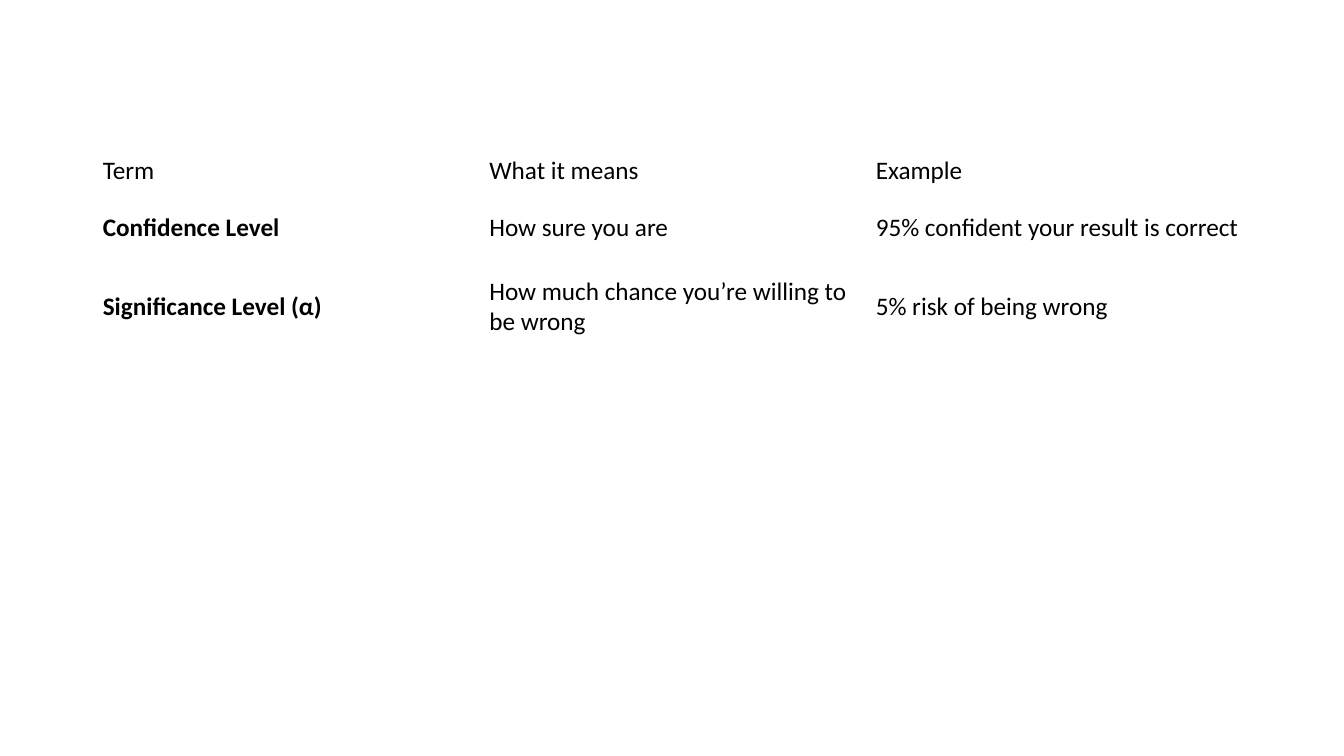
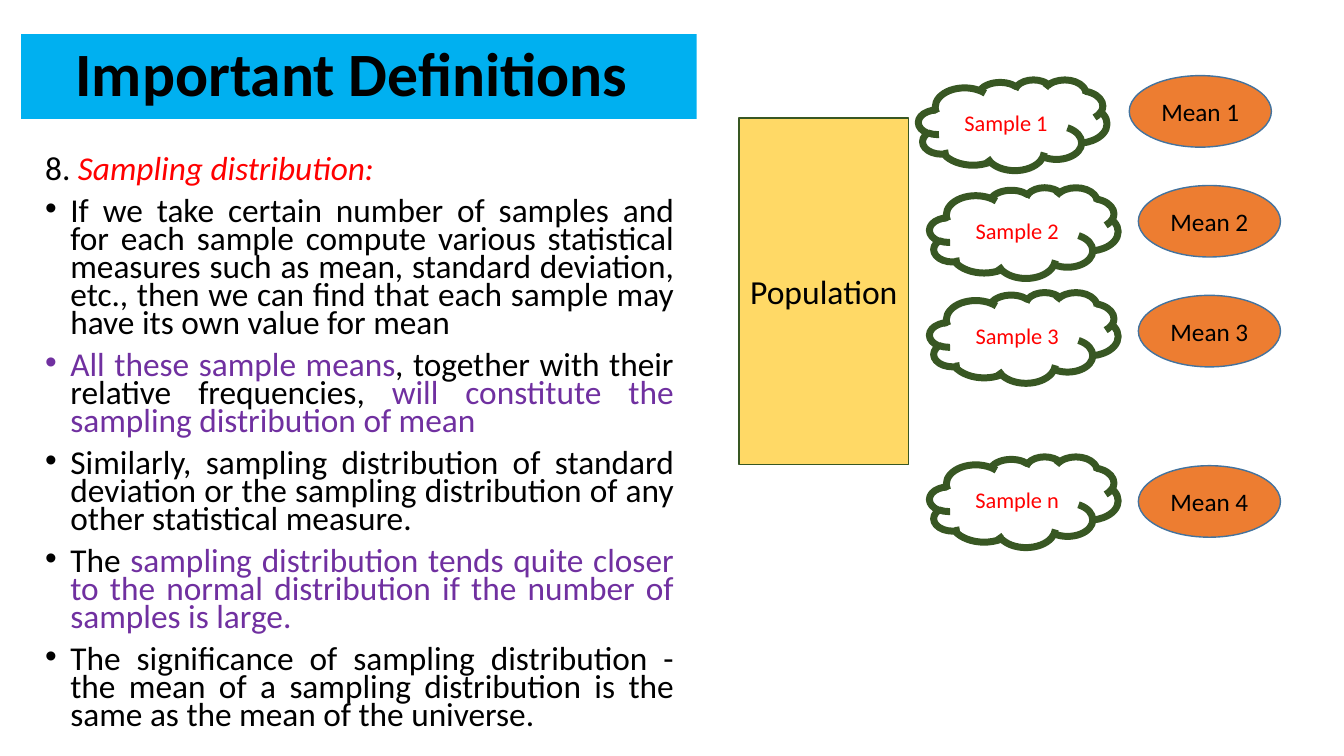
from pptx import Presentation
from pptx.dml.color import RGBColor
from pptx.enum.shapes import MSO_SHAPE
from pptx.enum.text import MSO_ANCHOR, PP_ALIGN
from pptx.oxml.ns import qn
from pptx.util import Pt
from lxml import etree

EMU_PER_PX = 9144  # 100 px to the inch
FONT = "Calibri"
BLACK, RED, PURPLE = "000000", "FF0000", "7030A0"
TITLE_BLUE, GOLD, ORANGE, WHITE = "00B0F0", "FFD966", "ED7D31", "FFFFFF"
DARK_GREEN, STEEL_BLUE = "385723", "43739E"
RECTANGLE, CLOUD, OVAL = MSO_SHAPE.RECTANGLE, MSO_SHAPE.CLOUD, MSO_SHAPE.OVAL
MIDDLE = MSO_ANCHOR.MIDDLE
CENTER, JUSTIFY = PP_ALIGN.CENTER, PP_ALIGN.JUSTIFY

TERMS = [
    ("Term", "What it means", "Example"),
    ("Confidence Level", "How sure you are", "95% confident your result is correct"),
    ("Significance Level (α)", "How much chance you’re willing to be wrong",
     "5% risk of being wrong"),
]

# Each paragraph is a list of (text, colour) runs
HEADING = [("8. ", BLACK), ("Sampling distribution:", RED)]
BULLETS = [
    [("If we take certain number of samples and for each sample compute various "
      "statistical measures such as mean, standard deviation, etc., then we can find "
      "that each sample may have its own value for mean", BLACK)],
    [("All these sample means", PURPLE),
     (", together with their relative frequencies, ", BLACK),
     ("will constitute the sampling distribution of mean", PURPLE)],
    [("Similarly, sampling distribution of standard deviation or the sampling "
      "distribution of any other statistical measure.", BLACK)],
    [("The ", BLACK),
     ("sampling distribution tends quite closer to the normal distribution if the "
      "number of samples is large.", PURPLE)],
    [("The significance of sampling distribution - the mean of a sampling "
      "distribution is the same as the mean of the universe.", BLACK)],
]

# Sample, its mean, and the offsets of both from the diagram's corner
SAMPLES = [
    ("Sample 1", (178, 4), "Mean 1", (387, 0)),
    ("Sample 2", (189, 111), "Mean 2", (396, 109)),
    ("Sample 3", (189, 215), "Mean 3", (396, 218)),
    ("Sample n", (189, 378), "Mean 4", (396, 387)),
]


def px(length):
    return length * EMU_PER_PX


def rgb(color):
    return RGBColor.from_string(color)


def style_font(font, size, color=BLACK, bold=False):
    font.name = FONT
    font.size = Pt(size)
    font.bold = bold
    font.color.rgb = rgb(color)


def add_box(slide, kind, box, fill, text, size, color=BLACK, line=None,
            line_width=1, bold=False):
    shape = slide.shapes.add_shape(kind, *map(px, box))
    shape.shadow.inherit = False
    shape.fill.solid()
    shape.fill.fore_color.rgb = rgb(fill)
    if line:
        shape.line.color.rgb = rgb(line)
        shape.line.width = Pt(line_width)
    else:
        shape.line.fill.background()
    frame = shape.text_frame
    frame.word_wrap = True
    frame.vertical_anchor = MIDDLE
    paragraph = frame.paragraphs[0]
    paragraph.text = text
    paragraph.alignment = CENTER
    style_font(paragraph.font, size, color, bold)
    return shape


def add_title(slide, box, text):
    shape = add_box(slide, RECTANGLE, box, TITLE_BLUE, text, 44, bold=True)
    shape.text_frame.paragraphs[0].line_spacing = 0.9


def add_bullet(paragraph, indent):
    properties = paragraph._p.get_or_add_pPr()
    properties.set("marL", str(px(indent)))
    properties.set("indent", str(-px(indent)))
    etree.SubElement(properties, qn("a:buFont")).set("typeface", "Arial")
    etree.SubElement(properties, qn("a:buChar")).set("char", "•")


def add_definition(slide, box):
    frame = slide.shapes.add_textbox(*map(px, box)).text_frame
    frame.word_wrap = True
    for index, runs in enumerate([HEADING] + BULLETS):
        paragraph = frame.add_paragraph() if index else frame.paragraphs[0]
        if index:
            add_bullet(paragraph, 25)
            paragraph.space_before = Pt(10)
        paragraph.alignment = JUSTIFY
        paragraph.line_spacing = 0.7
        style_font(paragraph.font, 23.8)
        for text, color in runs:
            run = paragraph.add_run()
            run.text = text
            run.font.color.rgb = rgb(color)
            run.font.italic = color == RED


def add_sampling_diagram(slide, left, top):
    add_box(slide, RECTANGLE, (left, top + 42, 168, 344), GOLD, "Population", 24,
            line=DARK_GREEN)
    for sample, (x, y), mean, (mean_x, mean_y) in SAMPLES:
        add_box(slide, CLOUD, (left + x, top + y, 187, 90), WHITE, sample, 16,
                RED, DARK_GREEN, 5)
        add_box(slide, OVAL, (left + mean_x, top + mean_y, 141, 71), ORANGE, mean, 18,
                line=STEEL_BLUE)


def add_terms_table(slide, left, top, width, row_heights):
    table = slide.shapes.add_table(len(TERMS), len(TERMS[0]), px(left), px(top),
                                   px(width), px(sum(row_heights))).table
    table.first_row = False
    table.horz_banding = False
    for row, height, texts in zip(table.rows, row_heights, TERMS):
        row.height = px(height)
        for column, (cell, text) in enumerate(zip(row.cells, texts)):
            cell.fill.background()
            cell.vertical_anchor = MIDDLE
            paragraph = cell.text_frame.paragraphs[0]
            paragraph.text = text
            is_term = column == 0 and texts is not TERMS[0]
            style_font(paragraph.font, 18, bold=is_term)


def build_terms_slide(slide):
    add_terms_table(slide, 92, 141, 1150, (57, 57, 99))


def build_definitions_slide(slide):
    add_title(slide, (21, 34, 670, 84), "Important Definitions ")
    add_definition(slide, (35, 152, 643, 585))
    add_sampling_diagram(slide, 733, 75)


def main():
    presentation = Presentation()
    presentation.slide_width = px(1333)
    presentation.slide_height = px(750)
    blank = presentation.slide_layouts[6]
    for build in (build_terms_slide, build_definitions_slide):
        build(presentation.slides.add_slide(blank))
    presentation.save("out.pptx")


if __name__ == "__main__":
    main()
